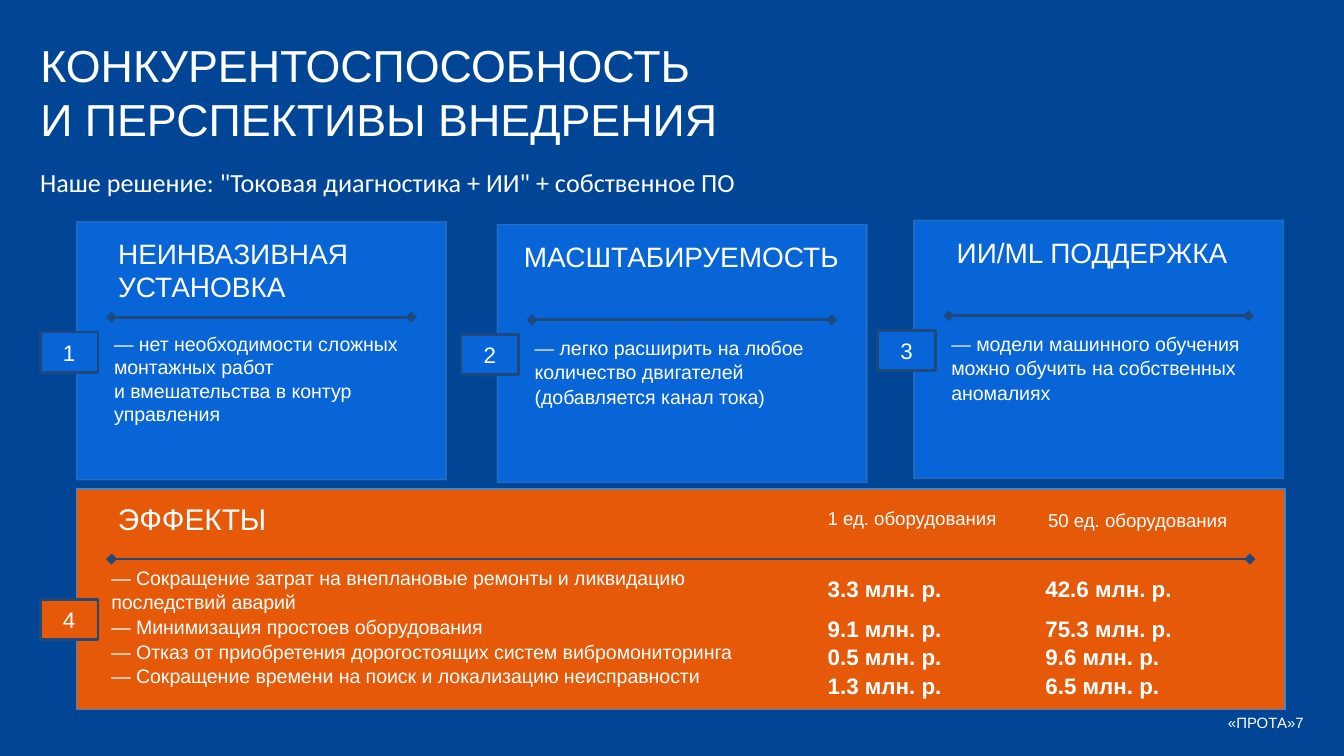
import pptx
import pptx.dml.color
import pptx.enum.shapes
import pptx.enum.text
import pptx.oxml
import pptx.oxml.ns
import pptx.util
from pptx.util import Inches

ALIGN = pptx.enum.text.PP_ALIGN
ANCHOR = pptx.enum.text.MSO_ANCHOR
NAVY, BLUE, ORANGE = "004596", "0765D8", "E65909"
WHITE, CREAM, RULE, OUTLINE = "FFFFFF", "EEECE1", "1F497D", "4F81BD"


def color(hex_value):
    return pptx.dml.color.RGBColor.from_string(hex_value)


def add_xml(parent, tag, **attributes):
    element = pptx.oxml.parse_xml(f"<a:{tag} {pptx.oxml.ns.nsdecls('a')}/>")
    for name, value in attributes.items():
        element.set(name, value)
    parent.append(element)


def write(frame, lines, size, font="Arial", bold=False, align=ALIGN.LEFT,
          spacings=None, anchor=ANCHOR.TOP, dash=None):
    frame.word_wrap = True
    frame.auto_size = pptx.enum.text.MSO_AUTO_SIZE.NONE
    frame.vertical_anchor = anchor
    for index, line in enumerate(lines):
        paragraph = frame.paragraphs[0] if index == 0 else frame.add_paragraph()
        paragraph.alignment = align
        if spacings:
            paragraph.line_spacing = spacings[index]
        if dash:
            lead = paragraph.add_run()
            lead.text = "— "
            lead.font.color.rgb = color(dash)
        paragraph.add_run().text = line
        paragraph.font.name = font
        paragraph.font.size = pptx.util.Pt(size)
        paragraph.font.bold = bold
        paragraph.font.color.rgb = color(WHITE)


def add_text(slide, left, top, width, height, lines, size, **style):
    box = slide.shapes.add_textbox(Inches(left), Inches(top), Inches(width), Inches(height))
    write(box.text_frame, lines, size, **style)


def add_panel(slide, left, top, width, height, fill, line, weight):
    panel = slide.shapes.add_shape(pptx.enum.shapes.MSO_SHAPE.RECTANGLE, Inches(left),
                                   Inches(top), Inches(width), Inches(height))
    panel.shadow.inherit = False
    panel.fill.solid()
    panel.fill.fore_color.rgb = color(fill)
    panel.line.color.rgb = color(line)
    panel.line.width = pptx.util.Pt(weight)
    return panel


def add_badge(slide, left, top, number, fill):
    badge = add_panel(slide, left - 0.27, top + 0.82, 0.43, 0.3, fill, RULE, 1.5)
    write(badge.text_frame, [number], 12, align=ALIGN.CENTER, anchor=ANCHOR.MIDDLE)


def add_rule(slide, left, top, width):
    rule = slide.shapes.add_connector(pptx.enum.shapes.MSO_CONNECTOR.STRAIGHT,
                                      Inches(left + 0.26), Inches(top),
                                      Inches(left + width - 0.26), Inches(top))
    rule.line.color.rgb = color(RULE)
    rule.line.width = pptx.util.Pt(1.5)
    stroke = rule.line._get_or_add_ln()
    add_xml(stroke, "headEnd", type="diamond")
    add_xml(stroke, "tailEnd", type="diamond")
    add_xml(rule._element.spPr, "effectLst")


def add_header(slide):
    title = slide.shapes.title
    title.left, title.top = Inches(0.2), Inches(0.23)
    title.width, title.height = Inches(5.33), Inches(0.78)
    write(title.text_frame, ["КОНКУРЕНТОСПОСОБНОСТЬ И ПЕРСПЕКТИВЫ ВНЕДРЕНИЯ"], 24)
    add_text(slide, 0.2, 1.19, 7.5, 0.34,
             ['Наше решение: "Токовая диагностика + ИИ" + собственное ПО'], 14, font="Calibri")


def add_card(slide, left, top, number, heading, heading_inset, body, spacing, dash):
    width = 2.75
    card = add_panel(slide, left, top, width, 1.92, BLUE, OUTLINE, 0.75)
    line_color = card.line._get_or_add_ln().find(".//" + pptx.oxml.ns.qn("a:srgbClr"))
    add_xml(line_color, "alpha", val="50000")
    add_badge(slide, left, top, number, BLUE)
    add_text(slide, left + heading_inset, top + 0.06, 2.65, 0.35 * len(heading), heading, 15)
    add_text(slide, left + 0.18, top + 0.77, 2.65, 0.7, body, 10.5,
             spacings=[spacing] * len(body), dash=dash)
    add_rule(slide, left, top + 0.71, width)


def add_effects(slide, left, top, width, height):
    add_panel(slide, left, top, width, height, ORANGE, OUTLINE, 0.75)
    add_badge(slide, left, top, "4", ORANGE)
    add_text(slide, left + 0.21, top + 0.04, 6.97, 0.37, ["ЭФФЕКТЫ"], 16)
    effects = [
        "— Сокращение затрат на внеплановые ремонты и ликвидацию последствий аварий",
        "— Минимизация простоев оборудования",
        "— Отказ от приобретения дорогостоящих систем вибромониторинга",
        "— Сокращение времени на поиск и локализацию неисправности",
    ]
    add_text(slide, left + 0.16, top + 0.51, 4.94, 1.03, effects, 10.5, spacings=[1.05] * 4)
    add_rule(slide, left, top + 0.52, width)
    columns = [
        (5.49, 5.49, 0.08, "1 ед. оборудования", ["3.3", "9.1", "0.5", "1.3"]),
        (7.13, 7.11, 0.1, "50 ед. оборудования", ["42.6", "75.3", "9.6", "6.5"]),
    ]
    for label_x, sums_x, label_y, label, sums in columns:
        add_text(slide, left + label_x, top + label_y, 1.64, 0.27, [label], 10)
        add_text(slide, left + sums_x, top + 0.49, 1.56, 1.34,
                 [f"{amount} млн. р." for amount in sums], 12, bold=True,
                 spacings=[1.5, 1.5, 1.05, 1.05])


def add_footer(slide):
    add_text(slide, 7.76, 5.23, 2.04, 0.3, ["«ПРОТА»7"], 8,
             align=ALIGN.RIGHT, anchor=ANCHOR.MIDDLE)


def main():
    deck = pptx.Presentation()
    deck.slide_width = Inches(10)
    deck.slide_height = deck.slide_width * 9 // 16
    slide = deck.slides.add_slide(deck.slide_layouts[5])
    slide.background.fill.solid()
    slide.background.fill.fore_color.rgb = color(NAVY)
    add_header(slide)
    cards = [
        (0.57, 1.65, "1", ["НЕИНВАЗИВНАЯ", "УСТАНОВКА"], 0.21,
         ["— нет необходимости сложных монтажных работ",
          "и вмешательства в контур управления"], 1.0, None),
        (3.7, 1.67, "2", ["МАСШТАБИРУЕМОСТЬ"], 0.1,
         ["легко расширить на любое количество двигателей (добавляется канал тока)"],
         1.05, CREAM),
        (6.8, 1.64, "3", ["ИИ/ML ПОДДЕРЖКА"], 0.22,
         ["модели машинного обучения можно обучить на собственных аномалиях"], 1.05, CREAM),
    ]
    for card in cards:
        add_card(slide, *card)
    add_effects(slide, 0.57, 3.64, 8.99, 1.64)
    add_footer(slide)
    deck.save("out.pptx")


if __name__ == "__main__":
    main()
